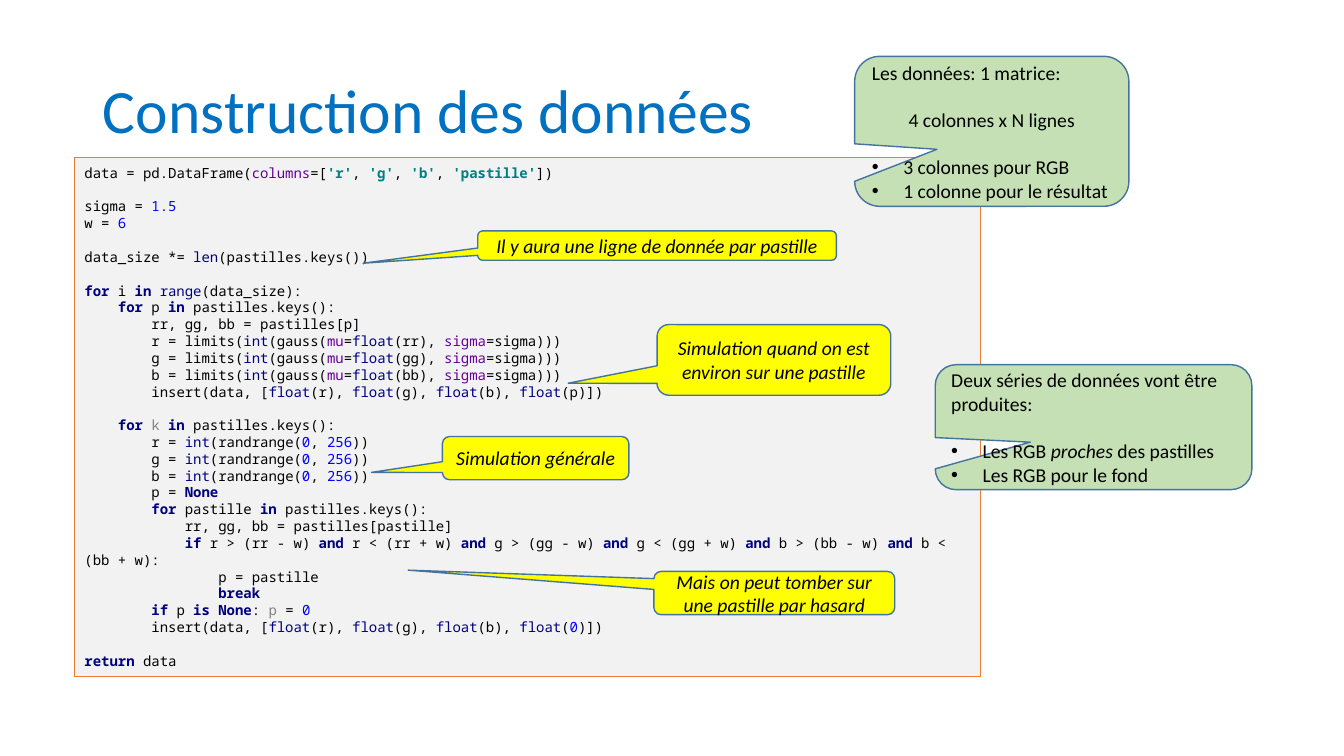
"""Build the slide about data construction: a code listing with callouts."""
from lxml import etree
from pptx import Presentation
from pptx.dml.color import RGBColor
from pptx.enum.shapes import MSO_SHAPE
from pptx.enum.text import MSO_ANCHOR, PP_ALIGN
from pptx.oxml.ns import qn
from pptx.util import Cm, Pt

RECT = MSO_SHAPE.RECTANGLE
CALLOUT = MSO_SHAPE.ROUNDED_RECTANGULAR_CALLOUT
LEFT, CENTER = PP_ALIGN.LEFT, PP_ALIGN.CENTER
MIDDLE = MSO_ANCHOR.MIDDLE
MONO, SANS = "Noto Sans Mono", "Calibri"
STYLES = {
    "t": ("000000", False, False),
    "k": ("000080", True, False),
    "b": ("000080", False, False),
    "s": ("008080", True, False),
    "n": ("0000FF", False, False),
    "a": ("660099", False, False),
    "g": ("808080", False, False),
    "i": ("000000", False, True),
    "h": ("0070C0", False, False),
}


def write(par, text, size, name):
    """Add runs; each odd part between tildes opens with its style letter."""
    for pos, part in enumerate(text.split("~")):
        key, words = (part[0], part[1:]) if pos % 2 else ("t", part)
        if words:
            run = par.add_run()
            run.text = words
            font = run.font
            font.name, font.size = name, Pt(size)
            tint, font.bold, font.italic = STYLES[key]
            font.color.rgb = RGBColor.from_string(tint)


def draw(kind, box, fill, line, width):
    """Add a flat shape and return it."""
    shape = slide.shapes.add_shape(kind, *map(Cm, box))
    shape.shadow.inherit = False
    shape.fill.solid()
    shape.fill.fore_color.rgb = RGBColor.from_string(fill)
    shape.line.color.rgb = RGBColor.from_string(line)
    shape.line.width = Pt(width)
    shape.text_frame.word_wrap = True
    shape.text_frame.vertical_anchor = MIDDLE
    return shape


deck = Presentation()
deck.slide_width, deck.slide_height = Cm(33.87), Cm(19.05)
slide = deck.slides.add_slide(deck.slide_layouts[5])

title = slide.shapes.title
title.left, title.top, title.width, title.height = map(Cm, (2.34, 1.02, 29.21, 3.68))
title.text_frame.vertical_anchor = MIDDLE
head = title.text_frame.paragraphs[0]
head.alignment, head.line_spacing = LEFT, 0.9
write(head, "~hConstruction des données~", 44, SANS)

keys = "~kin ~pastilles.keys():"
insert = "        insert(data, [~bfloat~(r), ~bfloat~(g), ~bfloat~(b), ~bfloat~({})])"
names = ", ".join(f"~s'{name}'~" for name in ("r", "g", "b", "pastille"))
tests = "~kand ~".join(
    f"{c} > ({c}{c} - w) ~kand ~{c} < ({c}{c} + w) " for c in "rgb").rstrip()
code = [
    f"data = pd.DataFrame(~acolumns~=[{names}])",
    "",
    "sigma = ~n1.5~",
    "w = ~n6~",
    "",
    "data_size *= ~blen~(pastilles.keys())",
    "",
    "~kfor ~i ~kin ~~brange~(data_size):",
    f"    ~kfor ~p {keys}",
    "        rr, gg, bb = pastilles[p]",
    *(f"        {c} = limits(~bint~(gauss(~amu~=~bfloat~({c}{c}), ~asigma~=sigma)))"
      for c in "rgb"),
    insert.format("p"),
    "",
    f"    ~kfor ~~gk ~{keys}",
    *(f"        {c} = ~bint~(randrange(~n0~, ~n256~))" for c in "rgb"),
    "        p = ~kNone~",
    f"        ~kfor ~pastille {keys}",
    "            rr, gg, bb = pastilles[pastille]",
    f"            ~kif ~{tests}:",
    "                p = pastille",
    "                ~kbreak~",
    "        ~kif ~p ~kis None~: ~gp ~= ~n0~",
    insert.format("~n0~"),
    "",
    "~kreturn ~data",
]
frame = draw(RECT, (1.88, 3.96, 22.83, 13.08), "F2F2F2", "ED7D31", 0.75).text_frame
par, gap = frame.paragraphs[0], 0
for row, text in enumerate(code):
    if not text:
        gap = 12
        continue
    if row:
        par = frame.add_paragraph()
    par.alignment, par.space_before = LEFT, Pt(gap)
    write(par, text, 10, MONO)
    gap = 0

YELLOW, GREEN = "FFFF00", "C5E0B4"
notes = [
    ((12.04, 5.82, 9.04, 0.74), (-0.82, 0.6), YELLOW,
     [("c", 0, "~iIl y aura une ligne de donnée par pastille~")]),
    ((16.56, 8.18, 5.89, 1.78), (-0.88, 0.33), YELLOW,
     [("c", 0, "~iSimulation quand on est environ sur une pastille~")]),
    ((11.15, 11, 4.7, 1.09), (-0.88, 0.33), YELLOW,
     [("c", 0, "~iSimulation générale~")]),
    ((16.48, 14.4, 6.07, 1.09), (-1.52, -0.53), YELLOW,
     [("c", 0, "~iMais on peut tomber sur une pastille par hasard~")]),
    ((21.54, 1.42, 6.91, 3.78), (-0.2, 0.12), GREEN,
     [("l", 0, "Les données: 1 matrice:"),
      ("c", 17, "4 colonnes x N lignes"),
      ("b", 17, "3 colonnes pour RGB"),
      ("b", 0, "1 colonne pour le résultat")]),
    ((23.57, 9.19, 7.98, 3.15), (-0.2, 0.12), GREEN,
     [("l", 0, "Deux séries de données vont être produites:"),
      ("b", 17, "Les RGB ~iproches~ des pastilles"),
      ("b", 0, "Les RGB pour le fond")]),
]
for box, tip, fill, lines in notes:
    note = draw(CALLOUT, box, fill, "43739E", 1)
    note.adjustments[0], note.adjustments[1] = tip
    frame = note.text_frame
    for row, (mode, gap, text) in enumerate(lines):
        par = frame.add_paragraph() if row else frame.paragraphs[0]
        par.alignment = CENTER if mode == "c" else LEFT
        par.space_before = Pt(gap)
        write(par, text, 14, SANS)
        if mode == "b":
            props = par._p.get_or_add_pPr()
            props.set("marL", str(Cm(0.79)))
            props.set("indent", str(-Cm(0.79)))
            etree.SubElement(props, qn("a:buFont")).set("typeface", "Arial")
            etree.SubElement(props, qn("a:buChar")).set("char", "•")

deck.save("out.pptx")
